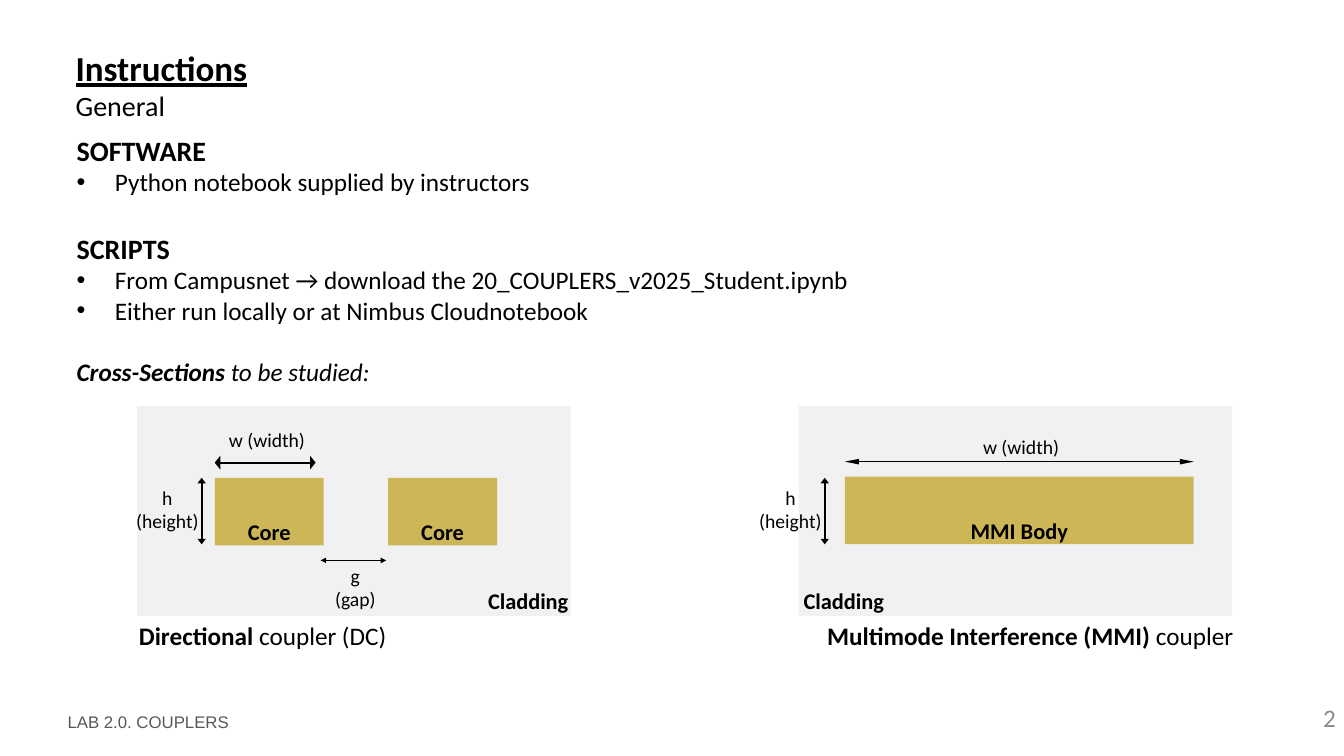
from lxml import etree
from pptx import Presentation
from pptx.dml.color import RGBColor
from pptx.enum.shapes import MSO_CONNECTOR, MSO_SHAPE
from pptx.enum.text import MSO_ANCHOR, MSO_AUTO_SIZE, PP_ALIGN
from pptx.oxml.ns import qn
from pptx.util import Inches, Pt

LEFT, CENTER, RIGHT = PP_ALIGN.LEFT, PP_ALIGN.CENTER, PP_ALIGN.RIGHT
TOP, MIDDLE = MSO_ANCHOR.TOP, MSO_ANCHOR.MIDDLE
RECTANGLE, STRAIGHT = MSO_SHAPE.RECTANGLE, MSO_CONNECTOR.STRAIGHT
NO_FIT = MSO_AUTO_SIZE.NONE

BLACK = RGBColor(0x00, 0x00, 0x00)
FOOTER_GRAY = RGBColor(0x58, 0x58, 0x58)
NUMBER_GRAY = RGBColor(0x8C, 0x8C, 0x8C)
CLADDING_GRAY = RGBColor(0xF1, 0xF1, 0xF1)
CORE_GOLD = RGBColor(0xCC, 0xB6, 0x57)

BOLD = {"bold": True}
BOLD_ITALIC = {"bold": True, "italic": True}
ITALIC = {"bold": False, "italic": True}
PLAIN = {"bold": False}
NO_INSETS = (0, 0, 0, 0)
TEXT_INSETS = (0.1, 0.05, 0.1, 0.05)


class CouplerSlide:
    """Holds the slide and its text style."""

    def __init__(self, slide, font="Calibri", color=BLACK):
        self.slide = slide
        self.font = font
        self.color = color

    def add_runs(self, paragraph, runs, size, **style):
        """Add (text, format) runs to a paragraph."""
        for text, extra in runs:
            run = paragraph.add_run()
            run.text = text
            formats = {"name": self.font, "size": Pt(size), **style, **extra}
            color = formats.pop("color", self.color)
            for name, value in formats.items():
                setattr(run.font, name, value)
            run.font.color.rgb = color

    def frame(self, shape, insets, anchor=TOP):
        text_frame = shape.text_frame
        left, top, right, bottom = map(Inches, insets)
        settings = {"word_wrap": True, "auto_size": NO_FIT,
                    "vertical_anchor": anchor,
                    "margin_left": left, "margin_top": top,
                    "margin_right": right, "margin_bottom": bottom}
        for name, value in settings.items():
            setattr(text_frame, name, value)
        return text_frame

    def place(self, shape, box):
        for name, value in zip(("left", "top", "width", "height"), box):
            setattr(shape, name, Inches(value))

    def title(self, heading, subheading, box):
        title = self.slide.shapes.title
        self.place(title, box)
        paragraph = self.frame(title, (0, 0.01, 0, 0)).paragraphs[0]
        paragraph.alignment = LEFT
        paragraph.space_before = Pt(1)
        self.add_runs(paragraph, [(heading, BOLD)], 25, underline=True)
        paragraph.add_line_break()
        self.add_runs(paragraph, [(subheading, PLAIN)], 20)

    def body(self, rows, box):
        """Rows are (runs, size, space before, bulleted)."""
        body = self.slide.placeholders[1]
        self.place(body, box)
        text_frame = self.frame(body, TEXT_INSETS)
        for index, (runs, size, gap, bulleted) in enumerate(rows):
            paragraph = text_frame.add_paragraph() if index else text_frame.paragraphs[0]
            paragraph.space_before = Pt(gap)
            indent = Inches(0.38) if bulleted else 0
            properties = paragraph._p.get_or_add_pPr()
            properties.set("marL", str(indent))
            properties.set("indent", str(-indent))
            if bulleted:
                etree.SubElement(properties, qn("a:buFont")).set("typeface", "Arial")
                etree.SubElement(properties, qn("a:buChar")).set("char", "•")
            else:
                etree.SubElement(properties, qn("a:buNone"))
            self.add_runs(paragraph, runs, size)

    def label(self, lines, box, size=14, align=LEFT, insets=(0, 0.02, 0, 0),
              anchor=TOP, **style):
        """Each line is a list of runs."""
        label = self.slide.shapes.add_textbox(*map(Inches, box))
        text_frame = self.frame(label, insets, anchor)
        for index, runs in enumerate(lines):
            paragraph = text_frame.add_paragraph() if index else text_frame.paragraphs[0]
            paragraph.alignment = align
            self.add_runs(paragraph, runs, size, **style)

    def block(self, color, box, name=None):
        block = self.slide.shapes.add_shape(RECTANGLE, *map(Inches, box))
        block.shadow.inherit = False
        block.fill.solid()
        block.fill.fore_color.rgb = color
        block.line.fill.background()
        if name:
            paragraph = self.frame(block, (0, 0.4, 0, 0)).paragraphs[0]
            paragraph.alignment = CENTER
            self.add_runs(paragraph, [(name, BOLD)], 16)

    def arrow(self, x1, y1, x2, y2, weight=1, head_width="sm", head_length="sm"):
        """Draw a double-headed dimension arrow."""
        arrow = self.slide.shapes.add_connector(STRAIGHT, *map(Inches, (x1, y1, x2, y2)))
        arrow.line.color.rgb = self.color
        arrow.line.width = Pt(weight)
        line = arrow.line._get_or_add_ln()
        for end in ("a:headEnd", "a:tailEnd"):
            tip = etree.SubElement(line, qn(end))
            for key, value in (("type", "triangle"), ("w", head_width), ("len", head_length)):
                tip.set(key, value)
        etree.SubElement(arrow._element.spPr, qn("a:effectLst"))

    def cladding(self, left, name_left):
        """Draw the cladding area with its name."""
        self.block(CLADDING_GRAY, (left, 4.03, 4.3, 2.08))
        self.label([[("Cladding", BOLD)]], (name_left, 5.8, 0.82, 0.29), 16)

    def height(self, x):
        self.arrow(x, 4.74, x, 5.4, 1.25, "med")
        self.label([[("h", {})], [("(height)", {})]], (x - 0.66, 4.8, 0.64, 0.5),
                   align=CENTER)

    def width(self, left, top):
        self.label([[("w (width)", {})]], (left, top, 0.8, 0.25))


def main():
    prs = Presentation()
    prs.slide_width, prs.slide_height = Inches(13.33), Inches(7.5)
    page = CouplerSlide(prs.slides.add_slide(prs.slide_layouts[1]))

    # Title and instructions
    page.title("Instructions", "General", (0.75, 0.45, 6.73, 0.77))
    page.body([
        ([("SOFTWARE", BOLD)], 20, 0, False),
        ([("Python notebook supplied by instructors", PLAIN)], 18, 0, True),
        ([("SCRIPTS", BOLD)], 20, 24.4, False),
        ([("From Campusnet → download the 20_COUPLERS_v2025_Student.ipynb", PLAIN)],
         18, 0, True),
        ([("Either run locally or at Nimbus Cloudnotebook", PLAIN)], 18, 0, True),
        ([("Cross-Sections ", BOLD_ITALIC), ("to be studied:", ITALIC)], 18, 22, False),
    ], (0.66, 1.27, 12.08, 5.42))

    # Directional coupler
    page.cladding(1.36, 4.84)
    for core_left in (2.13, 3.85):
        page.block(CORE_GOLD, (core_left, 4.74, 1.08, 0.67), "Core")
    page.height(2)
    page.arrow(2.13, 4.59, 3.13, 4.59, 1.25, "lg")
    page.width(2.27, 4.22)
    page.arrow(3.18, 5.56, 3.83, 5.56, 0.75)
    page.label([[("g", {})], [("(gap)", {})]], (3.21, 5.57, 0.63, 0.5), align=CENTER)
    page.label([[("Directional ", BOLD), ("coupler (DC)", PLAIN)]],
               (1.28, 6.1, 3, 0.4), 18, insets=TEXT_INSETS)

    # Multimode interference coupler
    page.cladding(7.92, 7.97)
    page.block(CORE_GOLD, (8.38, 4.73, 3.46, 0.67), "MMI Body")
    page.height(8.18)
    page.arrow(8.38, 4.58, 11.84, 4.58, 0.75, head_length="lg")
    page.width(9.75, 4.29)
    page.label([[("Multimode Interference (MMI) ", BOLD), ("coupler", PLAIN)]],
               (8.07, 6.1, 4.26, 0.4), 18, RIGHT, TEXT_INSETS)

    # Footer
    page.label([[("LAB 2.0. COUPLERS", {})]], (0.67, 7.06, 3, 0.2), 12,
               insets=NO_INSETS, anchor=MIDDLE, name="Arial", color=FOOTER_GRAY)
    page.label([[("2", {})]], (10.18, 6.97, 3.07, 0.38), 18, RIGHT, NO_INSETS,
               color=NUMBER_GRAY)

    prs.save("out.pptx")


if __name__ == "__main__":
    main()
